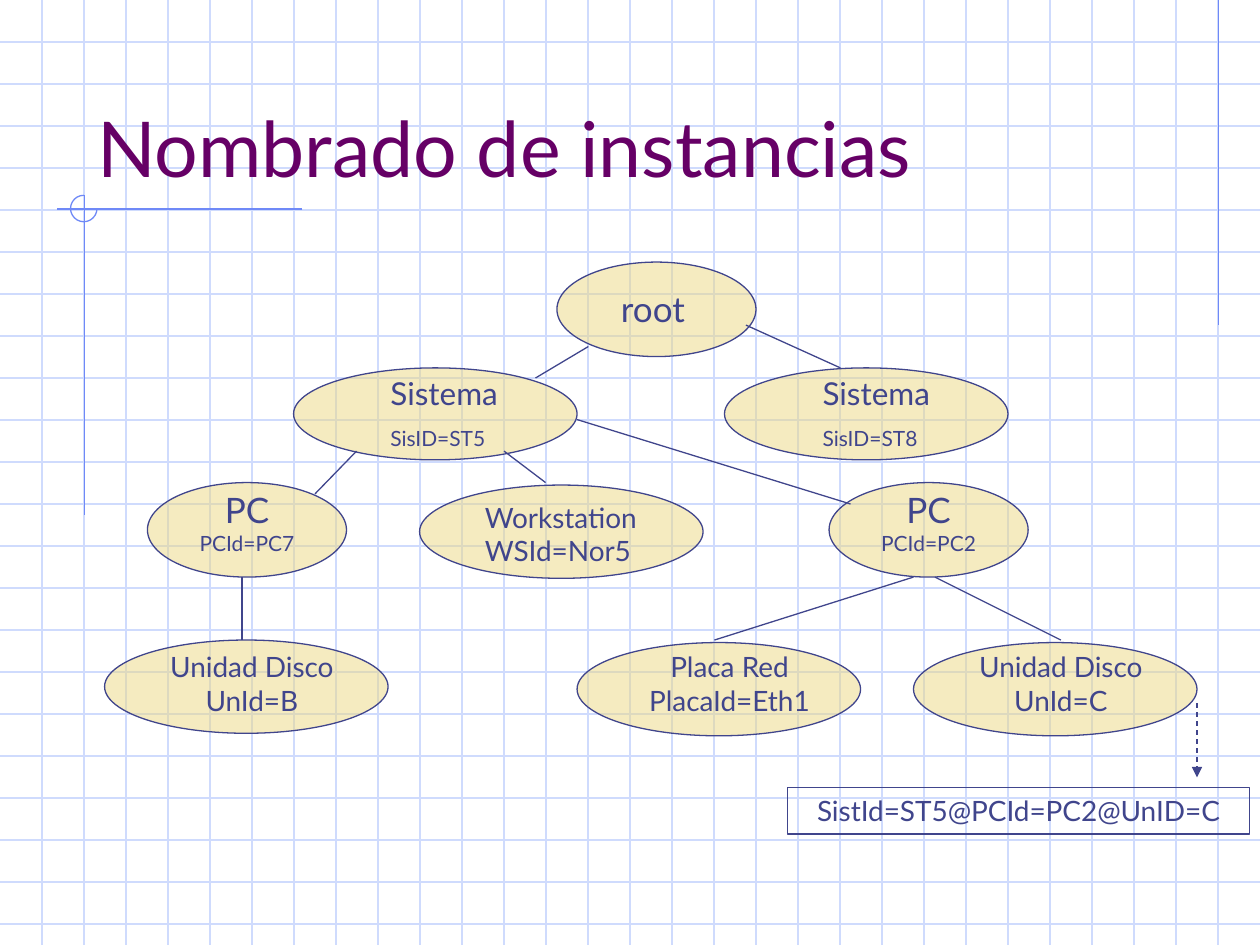
from lxml import etree
from pptx import Presentation
from pptx.dml.color import RGBColor
from pptx.enum import dml, shapes, text
from pptx.oxml import ns
from pptx.util import Inches, Pt

GRID = RGBColor(0xCF, 0xDB, 0xFD)
TRIM = RGBColor(0x6F, 0x89, 0xF7)
INK = RGBColor(0x40, 0x45, 0x8C)
SAND = RGBColor(0xEC, 0xD8, 0x82)
PLUM = RGBColor(0x66, 0x00, 0x66)
FONT = "Lato"
KIND = shapes.MSO_SHAPE
LEFT, MID = text.PP_ALIGN.LEFT, text.PP_ALIGN.CENTER

# Ellipses: left, top, width, height
NODES = [
    (4.42, 2.08, 1.58, 0.75),
    (2.33, 2.92, 2.25, 0.73), (5.75, 2.92, 2.25, 0.73),
    (1.17, 3.83, 1.58, 0.75), (3.33, 3.85, 2.25, 0.74),
    (6.58, 3.83, 1.58, 0.75),
    (0.83, 5.08, 2.25, 0.74), (4.58, 5.1, 2.25, 0.74),
    (7.25, 5.1, 2.25, 0.74),
]

# Tree branches: start x, y and end x, y
EDGES = [
    (4.67, 2.75, 4.25, 3), (5.92, 2.58, 6.67, 2.92),
    (2.83, 3.58, 2.5, 3.92), (4, 3.58, 4.33, 3.83),
    (4.58, 3.33, 6.75, 4), (7.25, 4.58, 5.67, 5.08),
    (7.42, 4.58, 8.42, 5.08), (1.92, 4.58, 1.92, 5.08),
]

# Labels: box, alignment, paragraphs of (words, size) runs
LABELS = [
    ((4.83, 2.23, 0.75, 0.44), LEFT, [[("root", 20)]]),
    ((3, 2.92, 1.07, 1.01), LEFT, [[("Sistema", 18)], [("SisID=ST5", 12)]]),
    ((6.43, 2.92, 1.07, 1.01), LEFT, [[("Sistema", 18)], [("SisID=ST8", 12)]]),
    ((1.42, 3.83, 1.08, 0.64), MID, [[("PC ", 20), ("PCId=PC7", 12)]]),
    ((3.75, 3.92, 1.5, 0.64), LEFT, [[("Workstation WSId=Nor5", 16)]]),
    ((6.83, 3.83, 1.08, 0.64), MID, [[("PC ", 20), ("PCId=PC2", 12)]]),
    ((1.25, 5.11, 1.5, 0.9), MID, [[("Unidad Disco UnId=B", 16)]]),
    ((5, 5.11, 1.58, 0.64), MID, [[("Placa Red PlacaId=Eth1", 16)]]),
    ((7.67, 5.11, 1.5, 0.9), MID, [[("Unidad Disco UnId=C", 16)]]),
]


def inches(nums):
    return [Inches(n) for n in nums]


def add_line(slide, ends, color):
    line = slide.shapes.add_connector(
        shapes.MSO_CONNECTOR.STRAIGHT, *inches(ends))
    line.line.color.rgb = color
    line.line.width = Pt(0.75)
    etree.SubElement(line._element.spPr, ns.qn("a:effectLst"))
    return line


def add_form(slide, kind, box, color):
    form = slide.shapes.add_shape(kind, *inches(box))
    form.shadow.inherit = False
    form.fill.background()
    form.line.color.rgb = color
    form.line.width = Pt(0.75)
    return form


def add_node(slide, box):
    node = add_form(slide, KIND.OVAL, box, INK)
    node.fill.solid()
    node.fill.fore_color.rgb = SAND
    tint = node._element.spPr.find(".//" + ns.qn("a:srgbClr"))
    etree.SubElement(tint, ns.qn("a:alpha"), val="50000")


def write(frame, paras, align, color=INK):
    frame.word_wrap = True
    for i, runs in enumerate(paras):
        para = frame.add_paragraph() if i else frame.paragraphs[0]
        para.alignment = align
        if i:
            para.space_before = Pt(7.5)
        for words, size in runs:
            run = para.add_run()
            run.text = words
            run.font.name = FONT
            run.font.size = Pt(size)
            run.font.color.rgb = color


def add_label(slide, box, align, paras):
    write(slide.shapes.add_textbox(*inches(box)).text_frame, paras, align)


def add_paper(slide):
    # Squared paper, three squares to the inch
    for i in range(1, 23):
        add_line(slide, (0, i / 3, 10, i / 3), GRID)
    for i in range(1, 30):
        add_line(slide, (i / 3, 0, i / 3, 7.5), GRID)
    # Margin rules and the three-quarter ring at their crossing
    for ends in [(9.67, 0, 9.67, 2.58), (2.4, 1.66, 0.45, 1.66),
                 (0.67, 1.55, 0.67, 4.09)]:
        add_line(slide, ends, TRIM)
    ring = add_form(slide, KIND.ARC, (0.56, 1.55, 0.21, 0.21), TRIM)
    ring.adjustments[0] = 0
    ring.adjustments[1] = 270 * 0.6  # degrees in units of 60000 / 100000


def set_title(slide, words):
    title = slide.shapes.title
    title.left, title.top, title.width, title.height = inches(
        (0.67, 0.33, 8.5, 1.25))
    frame = title.text_frame
    frame.auto_size = text.MSO_AUTO_SIZE.NONE
    frame.vertical_anchor = text.MSO_ANCHOR.BOTTOM
    write(frame, [[(words, 44)]], LEFT, PLUM)
    # Bring the title in front of the paper
    title._element.getparent().append(title._element)


def add_name(slide):
    # Full name of the last disk unit, with its dashed arrow
    form = add_form(slide, KIND.RECTANGLE, (6.25, 6.25, 3.67, 0.37), INK)
    write(form.text_frame, [[("SistId=ST5@PCId=PC2@UnID=C", 16)]], MID)
    arrow = add_line(slide, (9.5, 5.58, 9.5, 6.17), INK)
    arrow.line.dash_style = dml.MSO_LINE.DASH
    etree.SubElement(arrow.line._get_or_add_ln(), ns.qn("a:tailEnd"),
                     type="triangle")


def main():
    deck = Presentation()
    deck.slide_width, deck.slide_height = Inches(10), Inches(7.5)
    slide = deck.slides.add_slide(deck.slide_layouts[5])
    add_paper(slide)
    set_title(slide, "Nombrado de instancias")
    for box in NODES:
        add_node(slide, box)
    for ends in EDGES:
        add_line(slide, ends, INK)
    for label in LABELS:
        add_label(slide, *label)
    add_name(slide)
    deck.save("out.pptx")


if __name__ == "__main__":
    main()
